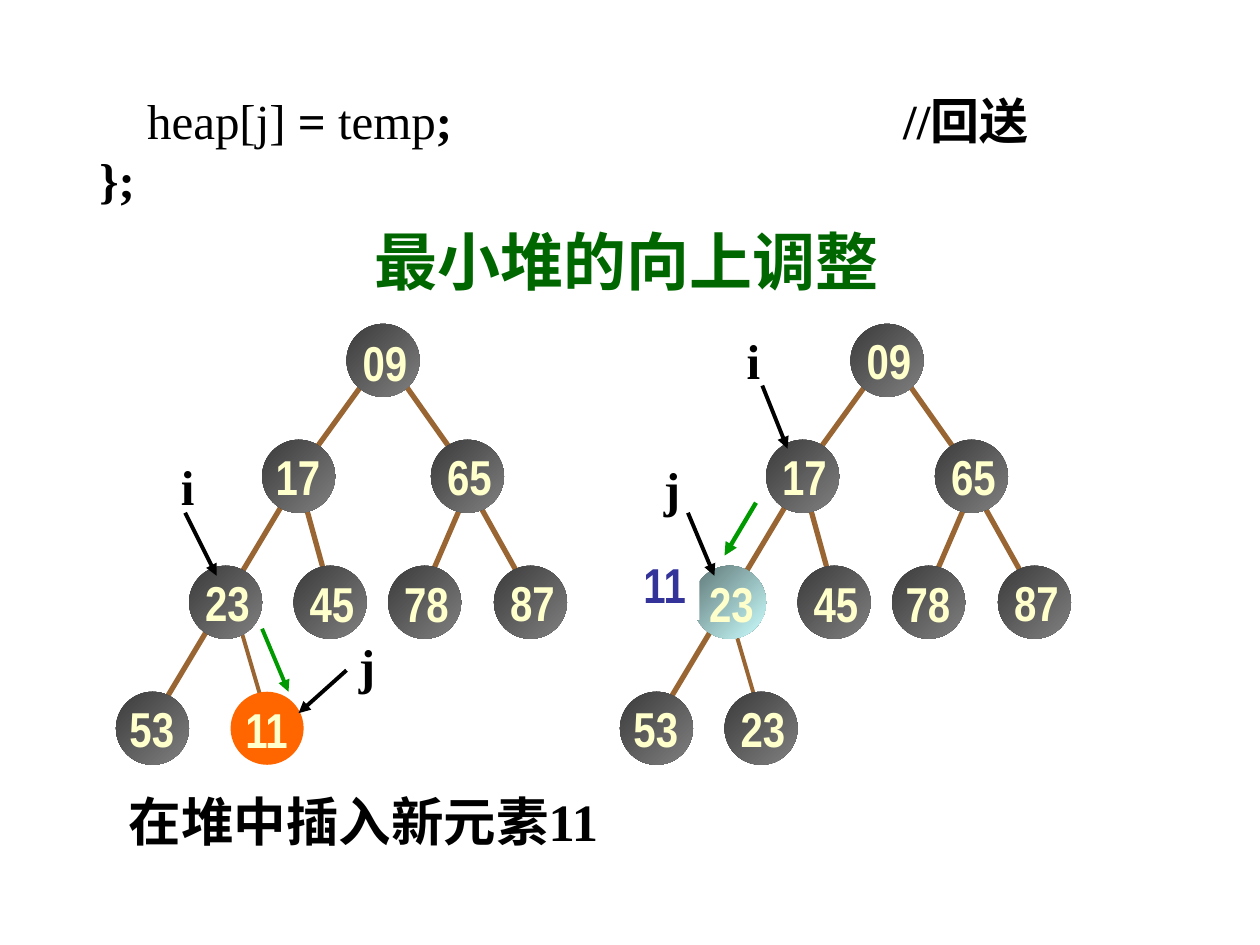
from lxml import etree
from pptx import Presentation
from pptx.dml.color import RGBColor
from pptx.enum.shapes import MSO_CONNECTOR, MSO_SHAPE
from pptx.enum.text import MSO_ANCHOR, MSO_AUTO_SIZE, PP_ALIGN
from pptx.oxml.ns import qn
from pptx.util import Inches, Pt

STRAIGHT = MSO_CONNECTOR.STRAIGHT
OVAL = MSO_SHAPE.OVAL
TOP, MIDDLE = MSO_ANCHOR.TOP, MSO_ANCHOR.MIDDLE
LEFT, CENTER = PP_ALIGN.LEFT, PP_ALIGN.CENTER
NO_FIT, GROW = MSO_AUTO_SIZE.NONE, MSO_AUTO_SIZE.SHAPE_TO_FIT_TEXT

COLORS = {
    "black": "000000", "white": "FFFFFF", "cream": "FFFFCC", "navy": "333399",
    "title": "006600", "edge": "996633", "move": "009900", "new": "FF6600",
    "node_dark": "3B3B3B", "node_light": "808080",
    "target_dark": "5E7676", "target_light": "CCFFFF",
}
SERIF, NARROW = "Times New Roman", "Arial Narrow"
NODE_SIZE = 0.58
LABEL_SIZE = (0.57, 0.57)
GRAY = ("node_dark", "node_light")
TEAL = ("target_dark", "target_light")

NODES = [
    ("09", 1.83, 0, 0.02, 0),
    ("17", 1.16, 0.92, 0.02, 0),
    ("65", 2.5, 0.92, 0.02, 0),
    ("23", 0.58, 1.92, 0.02, 0),
    ("45", 1.41, 1.92, 0.02, 0.01),
    ("78", 2.16, 1.92, 0.02, 0.01),
    ("87", 3, 1.92, 0.02, 0),
    ("53", 0, 2.92, 0, 0),
]
EDGES = [
    (2.83, 1.34, 3.25, 2.09),
    (2.75, 1.42, 2.5, 2),
    (2.25, 0.42, 2.66, 1),
    (1.5, 1.42, 1.66, 2),
    (2, 0.42, 1.58, 1),
    (1.33, 1.42, 0.33, 3.09),
]


def color(name):
    return RGBColor.from_string(COLORS[name])


def write_text(shape, paragraphs, size=28, font=SERIF, ink="black", align=CENTER,
               anchor=MIDDLE, wrap=False, fit=GROW, spacing=None, before=0,
               hanging=0, tabs=()):
    frame = shape.text_frame
    frame.word_wrap = wrap
    frame.auto_size = fit
    frame.vertical_anchor = anchor
    for index, runs in enumerate(paragraphs):
        paragraph = frame.add_paragraph() if index else frame.paragraphs[0]
        properties = paragraph._p.get_or_add_pPr()
        if tabs:
            properties.set("defTabSz", str(Inches(1)))
            tab_list = etree.SubElement(properties, qn("a:tabLst"))
            for stop in tabs:
                etree.SubElement(tab_list, qn("a:tab"), pos=str(Inches(stop)), algn="l")
        if hanging:
            properties.set("marL", str(Inches(hanging)))
            properties.set("indent", str(-Inches(hanging)))
        paragraph.alignment = align
        if spacing:
            paragraph.line_spacing = spacing
        if index:
            paragraph.space_before = Pt(before)
        for text, bold in runs:
            run = paragraph.add_run()
            run.text = text
            run.font.size = Pt(size)
            run.font.name = font
            run.font.bold = bold
            run.font.color.rgb = color(ink)


def add_text(slide, text, box, **text_format):
    shape = slide.shapes.add_textbox(*map(Inches, box))
    write_text(shape, [[(text, True)]], **text_format)
    return shape


def add_line(slide, ends, ink, width=2.25, arrow=False):
    connector = slide.shapes.add_connector(STRAIGHT, *map(Inches, ends))
    connector.line.color.rgb = color(ink)
    connector.line.width = Pt(width)
    if arrow:
        etree.SubElement(connector.line._get_or_add_ln(), qn("a:tailEnd"), type="triangle")
    etree.SubElement(connector._element.spPr, qn("a:effectLst"))


def add_node(slide, text, left, top, shift, fills=GRAY):
    circle = slide.shapes.add_shape(
        OVAL, *map(Inches, (left, top, NODE_SIZE, NODE_SIZE)))
    circle.shadow.inherit = False
    circle.line.fill.background()
    if len(fills) == 1:
        circle.fill.solid()
        circle.fill.fore_color.rgb = color(fills[0])
    else:
        circle.fill.gradient()
        circle.fill.gradient_angle = 315
        for position, (stop, name) in enumerate(zip(circle.fill.gradient_stops, fills)):
            stop.position = position
            stop.color.rgb = color(name)
    add_text(slide, text, (left + shift[0], top + shift[1], *LABEL_SIZE),
             font=NARROW, ink="cream")


def add_tree(slide, left, top, last, target_fills=GRAY, shifts=None):
    text, last_left, last_shift, last_fills = last
    for x1, y1, x2, y2 in EDGES:
        add_line(slide, (left + x1, top + y1, left + x2, top + y2), "edge", 3)
    last_x = left + last_left
    add_line(slide, (last_x + 0.08, top + 2.42, last_x + 0.25, top + 3), "edge")
    for name, x, y, *shift in NODES:
        shift = (shifts or {}).get(name, shift)
        fills = target_fills if name == "23" else GRAY
        add_node(slide, name, left + x, top + y, shift, fills)
    add_node(slide, text, last_x, top + 2.92, last_shift, last_fills)


def add_pointer(slide, name, left, top, ends):
    add_line(slide, ends, "black", arrow=True)
    add_text(slide, name, (left, top, 0.32, 0.57))


def add_insert_tree(slide, left, top):
    add_tree(slide, left, top, ("11", 0.91, (0, 0.01), ("new",)),
             shifts={"09": (0.02, 0.02), "17": (0, 0)})
    add_pointer(slide, "i", left + 0.41, top + 1,
                (left + 0.55, top + 1.5, left + 0.8, top + 2))
    add_pointer(slide, "j", left + 1.83, top + 2.42,
                (left + 1.83, top + 2.75, left + 1.45, top + 3.09))
    add_line(slide, (left + 1.16, top + 2.42, left + 1.37, top + 2.92),
             "move", arrow=True)


def add_moved_tree(slide, left, top):
    add_tree(slide, left, top, ("23", 0.83, (0.02, 0), GRAY), TEAL,
             {"23": (0.02, 0.01), "78": (0, 0.01)})
    held = add_text(slide, "11", (left + 0.08, top + 1.78, 0.55, 0.57),
                    font=NARROW, ink="navy")
    held.fill.solid()
    held.fill.fore_color.rgb = color("white")
    add_pointer(slide, "i", left + 0.9, top,
                (left + 1.13, top + 0.49, left + 1.33, top + 0.99))
    add_pointer(slide, "j", left + 0.25, top + 1.02,
                (left + 0.54, top + 1.5, left + 0.75, top + 2))
    add_line(slide, (left + 1.08, top + 1.42, left + 0.83, top + 1.84),
             "move", 2.5, arrow=True)


def place_title(slide, left, top, width, height):
    title = slide.shapes.title
    title.left, title.top, title.width, title.height = map(
        Inches, (left, top, width, height))
    write_text(title, [[("最小堆的向上调整", True)]], size=36, ink="title",
               align=LEFT, anchor=TOP, wrap=True, spacing=0.8)


def add_code(slide, box):
    shape = slide.shapes.add_textbox(*map(Inches, box))
    lines = [
        [("\t", True), ("heap[j]", False), (" = ", True), ("temp", False),
         (";\t\t\t\t//回送", True)],
        [("};", True)],
    ]
    write_text(shape, lines, align=LEFT, anchor=TOP, wrap=True, fit=NO_FIT,
               spacing=0.8, before=7, hanging=0.38, tabs=range(8))


def main():
    presentation = Presentation()
    presentation.slide_width, presentation.slide_height = Inches(10), Inches(7.5)
    slide = presentation.slides.add_slide(presentation.slide_layouts[5])
    add_code(slide, (0.69, 0.76, 9, 1.1))
    place_title(slide, 2.87, 1.83, 4.67, 0.58)
    add_insert_tree(slide, 0.92, 2.57)
    add_moved_tree(slide, 4.92, 2.57)
    add_text(slide, "在堆中插入新元素11", (0.86, 6.21, 4.05, 0.6), size=30)
    presentation.save("out.pptx")


if __name__ == "__main__":
    main()
